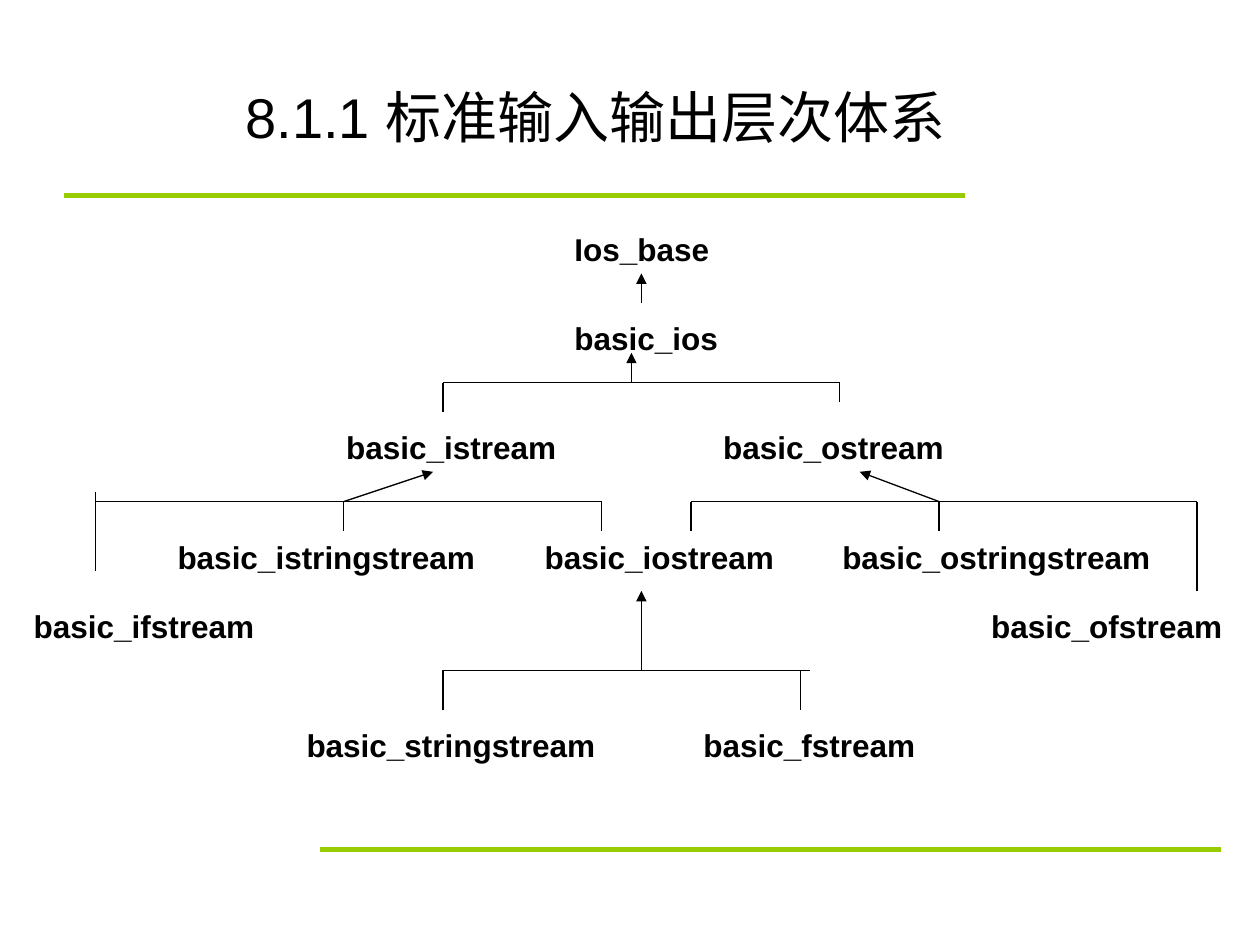
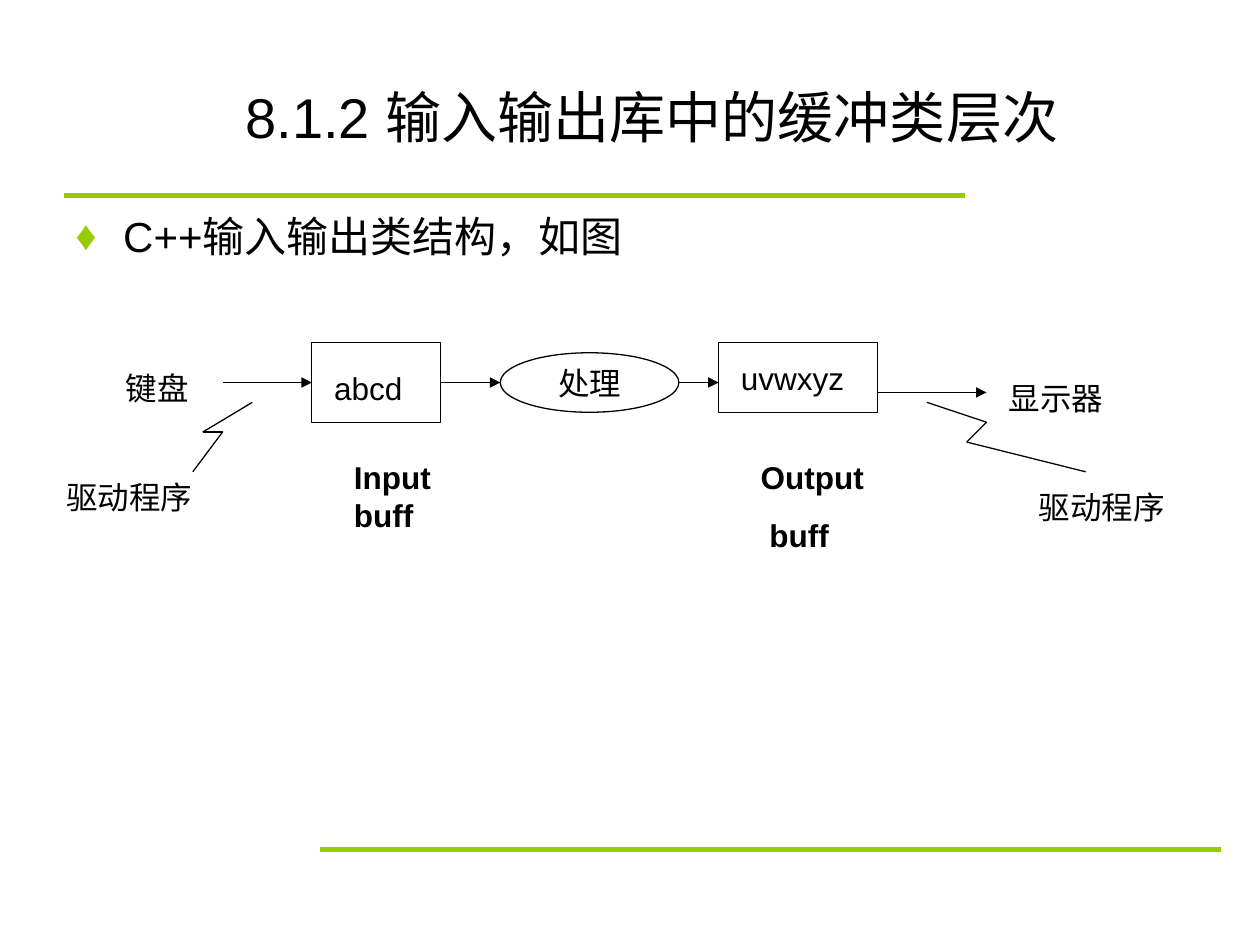
import pptx
import pptx.dml.color
import pptx.enum.shapes
import pptx.enum.text
import pptx.oxml
import pptx.oxml.ns
import pptx.util

# Content: grid positions are (column, row) in cells of 2 mm
TREE_TITLE = "8.1.1 标准输入输出层次体系"
TREE_CLASSES = [  # name, column, row, columns wide
    ("Ios_base", 47, -5, 18),
    ("basic_ios", 47, 4, 18),
    ("basic_istream", 24, 15, 26),
    ("basic_ostream", 62, 15, 25),
    ("basic_ifstream", -7.5, 33, 25),
    ("basic_istringstream", 7, 26, 33),
    ("basic_iostream", 44, 26, 26),
    ("basic_ostringstream", 74, 26, 34),
    ("basic_ofstream", 89, 33, 26),
    ("basic_stringstream", 20, 45, 32),
    ("basic_fstream", 60, 45, 24),
]
BASE_ARROW = ((55, 3), (55, 0))
BRACKETS = [  # bar: first column, last column, row; drops: column, top, bottom
    {"bar": (35, 75, 11), "drops": [(35, 11, 14), (75, 11, 13)],
     "arrow": ((54, 11), (54, 8))},
    {"bar": (0, 51, 23), "drops": [(0, 22, 30), (25, 23, 26), (51, 23, 26)],
     "arrow": ((25, 23), (34, 20))},
    {"bar": (60, 111, 23), "drops": [(60, 23, 26), (85, 23, 26), (111, 23, 32)],
     "arrow": ((85, 23), (77, 20))},
    {"bar": (35, 72, 40), "drops": [(35, 40, 44), (71, 40, 44)],
     "arrow": ((55, 40), (55, 32))},
]

BUFFER_TITLE = "8.1.2 输入输出库中的缓冲类层次"
BUFFER_POINT = "C++输入输出类结构，如图"
STAGES = {  # preset, column, row, columns wide, rows high, text
    "input": ("RECTANGLE", 20, 7, 13, 8, ""),
    "process": ("OVAL", 39, 8, 18, 6, "处理"),
    "output": ("RECTANGLE", 61, 7, 16, 7, ""),
}
BUFFER_LABELS = [  # paragraphs, column, row, columns wide, rows high, bold
    (["键盘"], 0, 9, 11, 5, False),
    (["abcd"], 21, 9, 11, 5, False),
    (["uvwxyz"], 62, 8, 14, 5, False),
    (["显示器"], 89, 10, 13, 5, False),
    (["驱动程序"], -6, 20, 18, 5, False),
    (["驱动程序"], 92, 21, 18, 5, False),
    (["Input buff"], 23, 18, 13, 9, True),
    (["Output", " buff"], 64, 18, 14, 11, True),
]
FLOWS = [  # start, end, stage joined at start (right), stage joined at end (left)
    ((11, 11), (20, 11), None, "input"),
    ((33, 11), (39, 11), "input", None),
    ((57, 11), (61, 11), None, None),
    ((77, 12), (88, 12), None, None),
]
ZIGZAGS = [
    [(14, 13), (9, 16), (11, 16), (8, 20)],
    [(82, 13), (88, 15), (86, 17), (98, 20)],
]

# Theme and shared measures
THEME = {
    "font": "Arial", "ink": "000000", "accent": "99CC00",
    "title": 32, "body": 24, "label": 18,
    "rule": 3, "thin": 0.75, "gap": 11.2,
}
RULES = [((0.51, 1.55), (7.66, 1.55)), ((2.54, 6.74), (9.69, 6.74))]
TITLE_BOX = (1.85, 0.3, 7.65, 1.25)
BODY_BOX = (0.5, 1.62, 9, 5.08)
BODY_INDENT = 0.38
CELL = pptx.util.Mm(2).inches
GRID_TOP = 2.17
TREE_LEFT, BUFFER_LEFT = 0.76, 0.9


def inches(values):
    return [pptx.util.Inches(value) for value in values]


def color(name):
    return pptx.dml.color.RGBColor.from_string(THEME[name])


def add_node(parent, tag, **attributes):
    node = pptx.oxml.parse_xml(
        f"<a:{tag} {pptx.oxml.ns.nsdecls('a')}/>")
    for key, value in attributes.items():
        node.set(key, str(value))
    parent.append(node)


def apply(target, formats):
    for key, value in formats.items():
        setattr(target, key, value)


class Canvas:
    """A page whose drawing is placed on a grid starting at a given left edge."""

    def __init__(self, deck, title, left):
        self.page = deck.slides.add_slide(deck.slide_layouts[6])
        self.left = left
        for start, end in RULES:
            self.line(start, end, "accent", "rule")
        self.text(TITLE_BOX, [title], "title", anchor="MIDDLE")

    def point(self, cell):
        return self.left + cell[0] * CELL, GRID_TOP + cell[1] * CELL

    def area(self, column, row, wide, high):
        return *self.point((column, row)), wide * CELL, high * CELL

    def line(self, start, end, ink="ink", width="thin", arrow=False):
        connector = self.page.shapes.add_connector(
            pptx.enum.shapes.MSO_CONNECTOR.STRAIGHT, *inches(start + end))
        connector.line.color.rgb = color(ink)
        connector.line.width = pptx.util.Pt(THEME[width])
        if arrow:
            add_node(connector.line._get_or_add_ln(), "tailEnd", type="triangle")
        add_node(connector._element.spPr, "effectLst")
        return connector

    def grid_line(self, start, end, arrow=False):
        return self.line(self.point(start), self.point(end), arrow=arrow)

    def text(self, area, lines, size, bold=False, anchor="TOP"):
        box = self.page.shapes.add_textbox(*inches(area))
        self.fill_text(box, lines, size, bold, anchor)
        return box

    def fill_text(self, box, lines, size, bold=False, anchor="TOP", align="LEFT"):
        frame = box.text_frame
        apply(frame, {"word_wrap": True,
                      "vertical_anchor": pptx.enum.text.MSO_ANCHOR[anchor]})
        for number, line in enumerate(lines):
            para = frame.add_paragraph() if number else frame.paragraphs[0]
            para.alignment = pptx.enum.text.PP_ALIGN[align]
            if number:
                para.space_before = pptx.util.Pt(THEME["gap"])
            span = para.add_run()
            span.text = line
            apply(span.font, {"name": THEME["font"], "bold": bold,
                              "size": pptx.util.Pt(THEME[size])})
            span.font.color.rgb = color("ink")

    def stage(self, preset, column, row, wide, high, text):
        shape = self.page.shapes.add_shape(
            pptx.enum.shapes.MSO_SHAPE[preset],
            *inches(self.area(column, row, wide, high)))
        shape.shadow.inherit = False
        shape.fill.background()
        shape.line.color.rgb = color("ink")
        shape.line.width = pptx.util.Pt(THEME["thin"])
        if text:
            self.fill_text(shape, [text], "label", anchor="MIDDLE", align="CENTER")
        return shape


def add_bullet(para):
    indent = pptx.util.Inches(BODY_INDENT)
    para.space_after = pptx.util.Pt(6)
    props = para._p.get_or_add_pPr()
    props.set("marL", str(indent))
    props.set("indent", str(-indent))
    add_node(props, "buClr")
    add_node(props[-1], "srgbClr", val=THEME["accent"])
    add_node(props, "buFont", typeface=THEME["font"])
    add_node(props, "buChar", char="♦")


def build_tree(deck):
    canvas = Canvas(deck, TREE_TITLE, TREE_LEFT)
    for name, column, row, wide in TREE_CLASSES:
        canvas.text(canvas.area(column, row, wide, 5), [name], "label", bold=True)

    # Inheritance lines
    canvas.grid_line(*BASE_ARROW, arrow=True)
    for bracket in BRACKETS:
        first, last, row = bracket["bar"]
        canvas.grid_line((first, row), (last, row))
        for column, top, bottom in bracket["drops"]:
            canvas.grid_line((column, top), (column, bottom))
        canvas.grid_line(*bracket["arrow"], arrow=True)


def build_buffers(deck):
    canvas = Canvas(deck, BUFFER_TITLE, BUFFER_LEFT)
    body = canvas.text(BODY_BOX, [BUFFER_POINT], "body")
    add_bullet(body.text_frame.paragraphs[0])

    # Stages and their labels
    stages = {name: canvas.stage(*stage) for name, stage in STAGES.items()}
    for lines, column, row, wide, high, bold in BUFFER_LABELS:
        canvas.text(canvas.area(column, row, wide, high), lines, "label", bold)

    # Data flow and driver marks
    for start, end, source, target in FLOWS:
        arrow = canvas.grid_line(start, end, arrow=True)
        if source:
            arrow.begin_connect(stages[source], 3)
        if target:
            arrow.end_connect(stages[target], 1)
    for corners in ZIGZAGS:
        for start, end in zip(corners, corners[1:]):
            canvas.grid_line(start, end)


def main():
    deck = pptx.Presentation()
    deck.slide_width, deck.slide_height = inches((10, 7.5))
    build_tree(deck)
    build_buffers(deck)
    deck.save("out.pptx")


if __name__ == "__main__":
    main()
